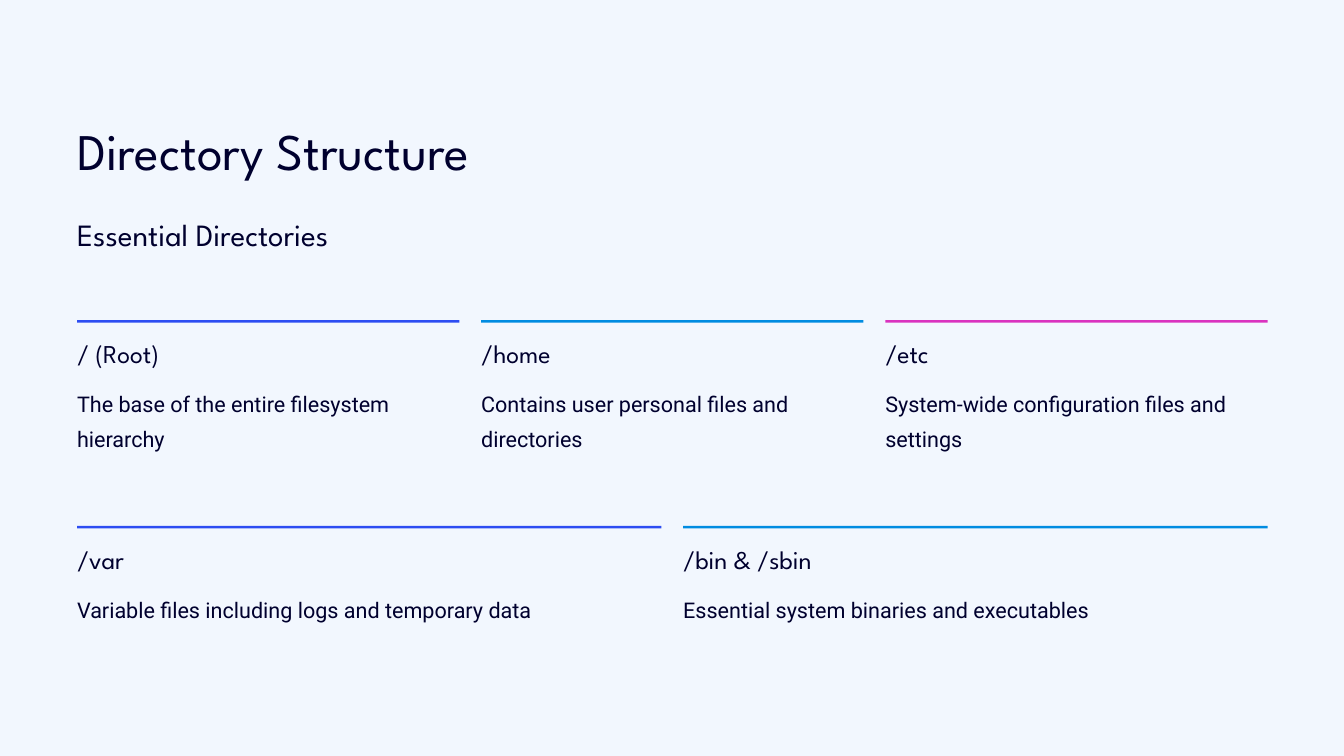
from dataclasses import dataclass

from pptx import Presentation
from pptx.dml.color import RGBColor
from pptx.enum import shapes, text
from pptx.util import Cm, Pt


@dataclass(frozen=True)
class Style:
    font: str
    size: float
    leading: float


@dataclass(frozen=True)
class Theme:
    background: str = "F2F7FE"
    ink: str = "00002E"
    accents: tuple = ("2D4DF2", "018CE1", "DA33BF")
    title: Style = Style("League Spartan", 44, 55)
    subtitle: Style = Style("League Spartan", 26.5, 33)
    heading: Style = Style("League Spartan", 22, 27.5)
    body: Style = Style("Roboto", 18.5, 30)


THEME = Theme()
LEFT, WIDTH, GAP = 2.33, 36, 0.66

# Top of each row in cm, with its (directory, purpose) cards
ROWS = [
    (9.68, [
        ("/ (Root)", "The base of the entire filesystem hierarchy"),
        ("/home", "Contains user personal files and directories"),
        ("/etc", "System-wide configuration files and settings"),
    ]),
    (15.9, [
        ("/var", "Variable files including logs and temporary data"),
        ("/bin & /sbin", "Essential system binaries and executables"),
    ]),
]


def add_text(s, words, style, x, y, w, h):
    tf = s.shapes.add_textbox(Cm(x), Cm(y), Cm(w), Cm(h)).text_frame
    frame = {"word_wrap": True, "auto_size": text.MSO_AUTO_SIZE.NONE,
             "margin_left": 0, "margin_right": 0,
             "margin_top": 0, "margin_bottom": 0}
    for name, value in frame.items():
        setattr(tf, name, value)
    p = tf.paragraphs[0]
    p.line_spacing = Pt(style.leading)
    r = p.add_run()
    r.text = words
    for name, value in {"name": style.font, "size": Pt(style.size)}.items():
        setattr(r.font, name, value)
    r.font.color.rgb = RGBColor.from_string(THEME.ink)


def add_rule(s, color, x, y, w):
    sp = s.shapes.add_shape(shapes.MSO_SHAPE.RECTANGLE,
                            Cm(x), Cm(y), Cm(w), Cm(0.08))
    sp.shadow.inherit = False
    sp.fill.solid()
    sp.fill.fore_color.rgb = RGBColor.from_string(color)
    sp.line.fill.background()


def add_row(s, top, cards):
    """Share the content width equally among the cards of one row."""
    w = (WIDTH - GAP * (len(cards) - 1)) / len(cards)
    for i, ((directory, purpose), color) in enumerate(zip(cards, THEME.accents)):
        x = LEFT + i * (w + GAP)
        add_rule(s, color, x, top, w)
        add_text(s, directory, THEME.heading, x, top + 0.51, w, 0.97)
        add_text(s, purpose, THEME.body, x, top + 1.88, w, 2.13)


def main():
    prs = Presentation()
    prs.slide_width, prs.slide_height = Cm(40.64), Cm(22.86)
    s = prs.slides.add_slide(prs.slide_layouts[6])
    s.background.fill.solid()
    s.background.fill.fore_color.rgb = RGBColor.from_string(THEME.background)

    add_text(s, "Directory Structure", THEME.title, LEFT, 3.53, WIDTH, 1.95)
    add_text(s, "Essential Directories", THEME.subtitle, LEFT, 6.48, WIDTH, 1.17)
    for top, cards in ROWS:
        add_row(s, top, cards)

    prs.save("out.pptx")


if __name__ == "__main__":
    main()
